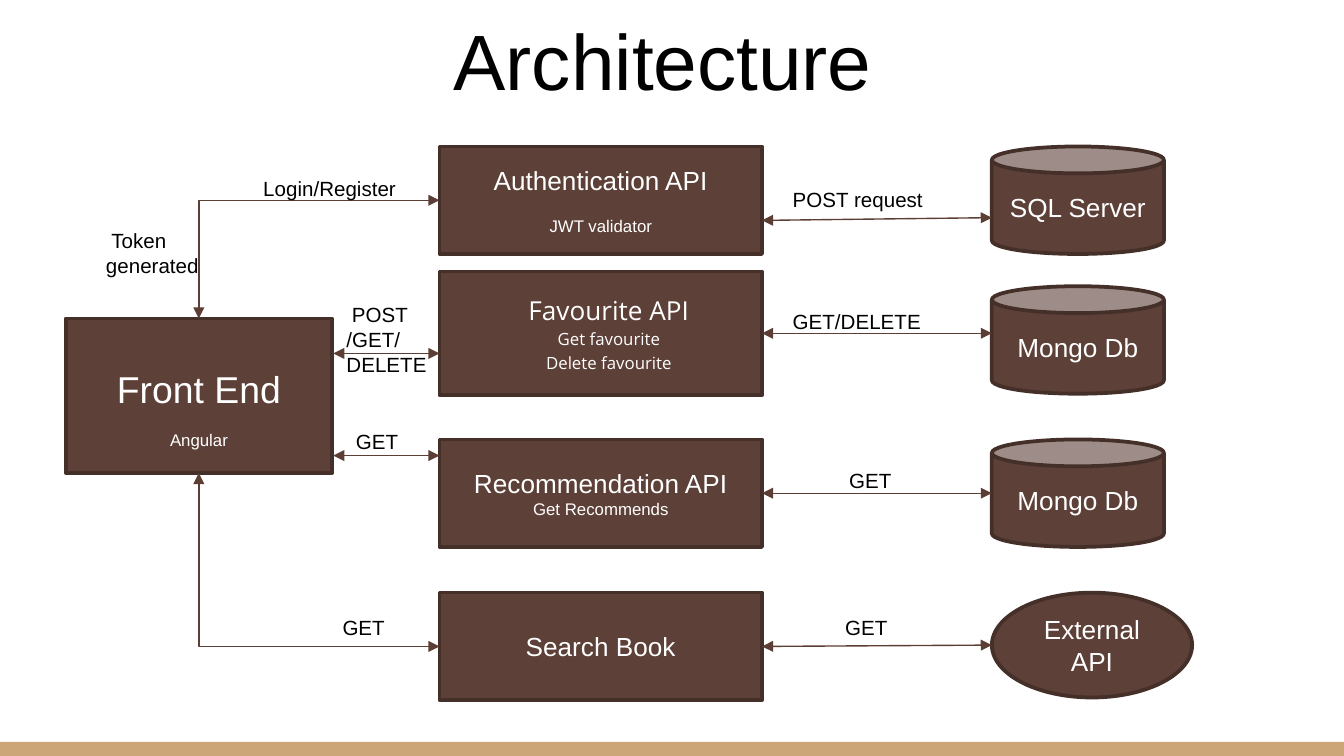
from lxml.etree import SubElement
from pptx import Presentation
from pptx.dml.color import RGBColor
from pptx.enum.shapes import MSO_CONNECTOR, MSO_SHAPE
from pptx.enum.text import MSO_ANCHOR, PP_ALIGN
from pptx.oxml.ns import qn
from pptx.util import Inches, Pt

BROWN, EDGE, WIRE, TAN = "5D4037", "452F29", "5C3E35", "CCA677"
WHITE, BLACK = "FFFFFF", "000000"
API_X, API_W, STORE_X, STORE_W, ROW_H = 3.27, 2.4, 7.38, 1.28, 0.8
FRONT_MID, FRONT_R, API_R = 1.48, 2.48, API_X + API_W
TOP, LEFT, BOTTOM, RIGHT = range(4)
RECT, CAN, OVAL = MSO_SHAPE.RECTANGLE, MSO_SHAPE.CAN, MSO_SHAPE.OVAL

# name: (preset, (x, y, w, h), [(text, size, space before)])
NODES = {
    "front": (RECT, (0.49, 2.37, 1.98, 1.15), [("Front End", 20, 0), ("Angular", 9, 10.35)]),
    "auth": (RECT, (API_X, 1.09, API_W, ROW_H),
             [("Authentication API", 14, 0), ("JWT validator", 9, 10.35)]),
    "fav": (RECT, (API_X, 2.02, API_W, 0.92),
            [("Favourite API", 14, 0), ("Get favourite", 9, 0), ("Delete favourite", 9, 0)]),
    "rec": (RECT, (API_X, 3.27, API_W, ROW_H),
            [("Recommendation API", 14, 0), ("Get Recommends", 9, 0)]),
    "search": (RECT, (API_X, 4.41, API_W, ROW_H), [("Search Book", 14, 0)]),
    "sql": (CAN, (STORE_X, 1.09, STORE_W, ROW_H), [("SQL Server", 14, 0)]),
    "favdb": (CAN, (STORE_X, 2.13, STORE_W, ROW_H), [("Mongo Db", 14, 0)]),
    "recdb": (CAN, (STORE_X, 3.27, STORE_W, ROW_H), [("Mongo Db", 14, 0)]),
    "ext": (OVAL, (STORE_X, 4.41, 1.49, 0.78), [("External API", 14, 0)]),
}

# (from, to, joined start, joined end)
LINKS = [
    ((API_R, 4.81), (STORE_X, 4.8), ("search", RIGHT), None),
    ((API_R, 3.67), (STORE_X, 3.67), ("rec", RIGHT), None),
    ((API_R, 2.48), (STORE_X, 2.48), ("fav", RIGHT), None),
    ((API_R, 1.64), (STORE_X, 1.62), None, None),
    ((FRONT_R, 2.63), (API_X, 2.63), None, None),
    ((FRONT_R, 3.39), (API_X, 3.39), None, None),
    ((API_X, 1.49), (FRONT_MID, 2.37), ("auth", LEFT), ("front", TOP)),
    ((API_X, 4.81), (FRONT_MID, 3.52), ("search", LEFT), ("front", BOTTOM)),
]

# (x, y, w, h, paragraphs)
LABELS = [
    (5.76, 1.34, 1.28, 0.29, ["POST request"]),
    (5.76, 2.25, 1.21, 0.29, ["GET/DELETE"]),
    (6.18, 3.43, 0.6, 0.29, ["GET"]),
    (6.15, 4.53, 0.6, 0.29, ["GET"]),
    (1.82, 1.26, 1.28, 0.29, ["Login/Register"]),
    (0.69, 1.65, 1.28, 0.47, ["Token generated"]),
    (2.48, 2.2, 0.9, 0.66, ["POST\n/GET/", "DELETE"]),
    (2.51, 3.14, 1.28, 0.29, ["GET"]),
    (2.41, 4.53, 1.28, 0.29, ["GET"]),
]


def rgb(code):
    return RGBColor.from_string(code)


def box(at):
    return [Inches(v) for v in at]


def write(para, text, size, color, font="Arial"):
    """Add runs to a paragraph, with a line break at each newline."""
    for i, part in enumerate(text.split("\n")):
        if i:
            para.add_line_break()
        run = para.add_run()
        run.text = part
        run.font.size = Pt(size)
        run.font.name = font
        run.font.color.rgb = rgb(color)


def paras(frame, count):
    return [frame.paragraphs[0]] + [frame.add_paragraph() for _ in range(count - 1)]


def shape(preset, at, fill, edge=None):
    item = slide.shapes.add_shape(preset, *box(at))
    item.shadow.inherit = False
    item.fill.solid()
    item.fill.fore_color.rgb = rgb(fill)
    if edge:
        item.line.color.rgb = rgb(edge)
        item.line.width = Pt(2)
    else:
        item.line.fill.background()
    return item


def node(name, preset, at, lines):
    item = shape(preset, at, BROWN, EDGE)
    frame = item.text_frame
    frame.word_wrap = True
    frame.vertical_anchor = MSO_ANCHOR.MIDDLE
    if name == "front":
        frame.margin_top = Inches(0.23)
    if name == "fav":
        frame.margin_bottom = Inches(0.08)
    for para, (text, size, gap) in zip(paras(frame, len(lines)), lines):
        para.alignment = PP_ALIGN.CENTER
        if gap:
            para.space_before = Pt(gap)
        if name == "fav":
            para.line_spacing = 1.15
            para._p.get_or_add_pPr().set("marL", str(Inches(0.12)))
        write(para, text, size, WHITE, "Open Sans" if name == "fav" else "Arial")
    return item


def link(start, end, head, tail):
    bent = tail is not None
    kind = MSO_CONNECTOR.ELBOW if bent else MSO_CONNECTOR.STRAIGHT
    wire = slide.shapes.add_connector(kind, *box(start + end))
    if head:
        wire.begin_connect(nodes[head[0]], head[1])
    if tail:
        wire.end_connect(nodes[tail[0]], tail[1])
    wire.line.color.rgb = rgb(WIRE)
    wire.line.width = Pt(0.75)
    props = wire._element.spPr
    if bent:
        props.find(qn("a:prstGeom")).set("prst", "bentConnector2")
    for tag in ("a:headEnd", "a:tailEnd"):
        SubElement(props.find(qn("a:ln")), qn(tag), type="triangle")
    SubElement(props, qn("a:effectLst"))


def label(x, y, w, h, texts):
    frame = slide.shapes.add_textbox(*box((x, y, w, h))).text_frame
    frame.word_wrap = True
    lines = paras(frame, len(texts))
    lines[0]._p.get_or_add_pPr().set("indent", str(Inches(0.04)))
    for para, text in zip(lines, texts):
        write(para, text, 11, BLACK)


deck = Presentation()
deck.slide_width, deck.slide_height = Inches(10), Inches(10 * 9 / 16)
slide = deck.slides.add_slide(deck.slide_layouts[6])

shape(RECT, (0, 5.52, 10, 0.11), TAN)
title = slide.shapes.add_textbox(*box((0.27, -0.02, 9.32, 0.91))).text_frame
title.word_wrap = True
title.vertical_anchor = MSO_ANCHOR.BOTTOM
title.margin_top = title.margin_bottom = Inches(0.1)
title.paragraphs[0].alignment = PP_ALIGN.CENTER
write(title.paragraphs[0], "Architecture", 42, BLACK)

nodes = {name: node(name, *data) for name, data in NODES.items()}
for data in LINKS:
    link(*data)
for data in LABELS:
    label(*data)

deck.save("out.pptx")
